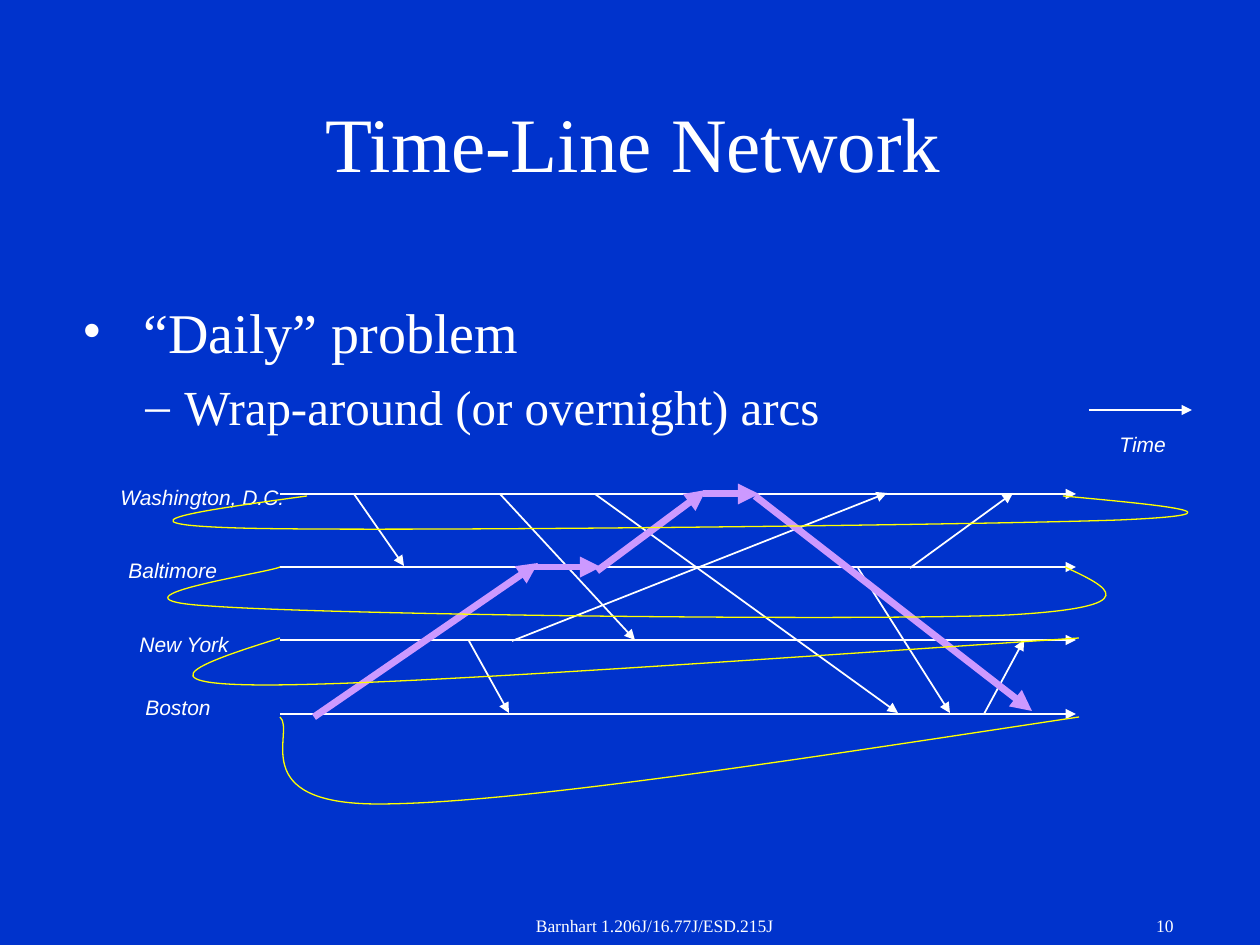
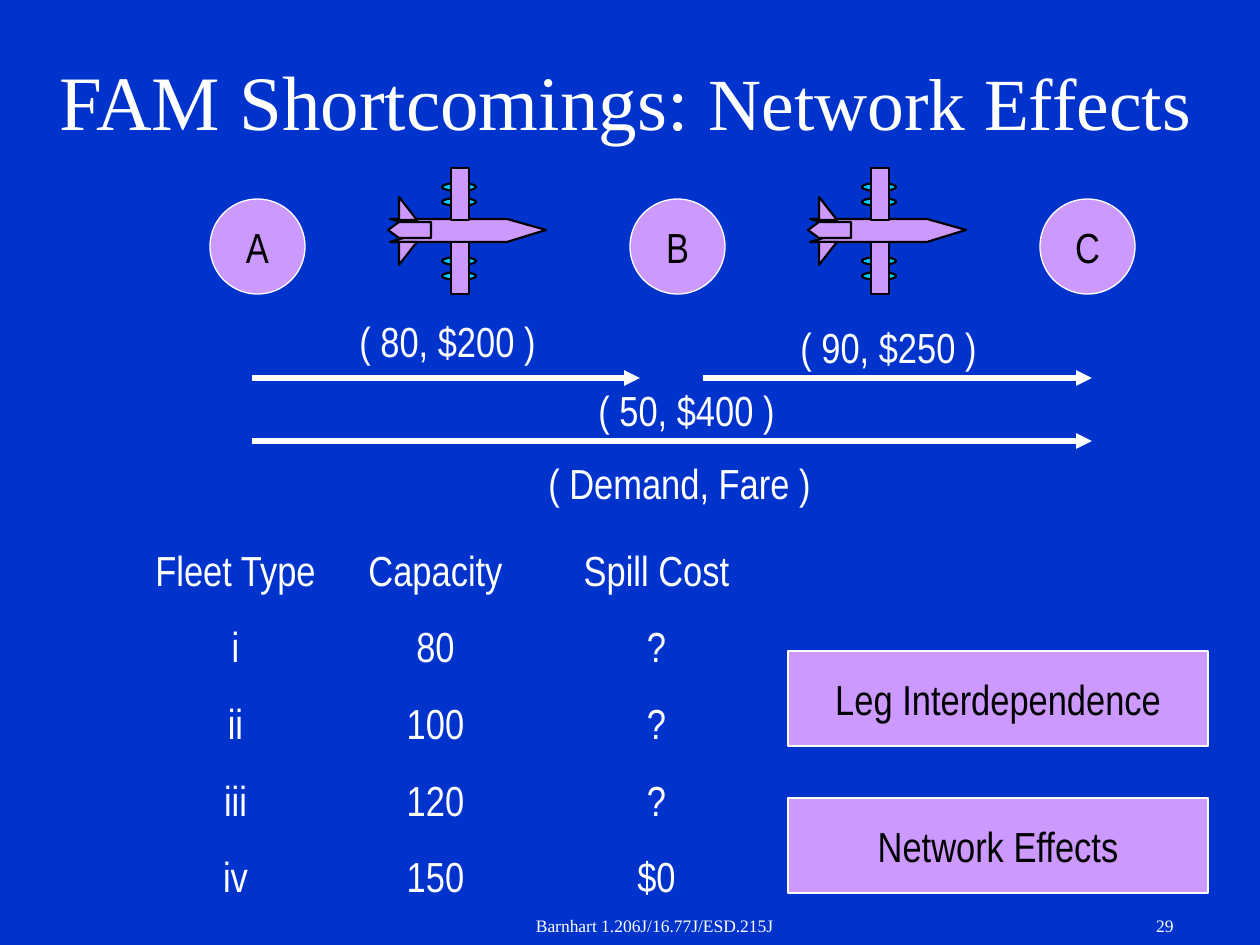
from dataclasses import dataclass

from lxml.etree import SubElement
from pptx import Presentation
from pptx.dml.color import RGBColor as Rgb
from pptx.enum.shapes import MSO_CONNECTOR as Connector, MSO_SHAPE as Preset
from pptx.enum.text import MSO_ANCHOR as Anchor, MSO_AUTO_SIZE as AutoSize, PP_ALIGN as Align
from pptx.oxml.ns import qn
from pptx.util import Pt

PX = 914400 / 126


@dataclass(frozen=True)
class Theme:
    ground: Rgb = Rgb(0x00, 0x33, 0xCC)
    white: Rgb = Rgb(0xFF, 0xFF, 0xFF)
    black: Rgb = Rgb(0x00, 0x00, 0x00)
    lilac: Rgb = Rgb(0xCC, 0x99, 0xFF)
    cyan: Rgb = Rgb(0x00, 0xCC, 0xFF)
    yellow: Rgb = Rgb(0xFF, 0xFF, 0x00)
    serif: str = "Times New Roman"
    sans: str = "Arial"
    narrow: str = "Arial Narrow"
    title: int = 44
    title_tail: int = 42
    bullet: int = 32
    sub_bullet: int = 28
    figure: int = 24
    label: int = 12
    footer: int = 10
    hairline: float = 0.75
    thin: float = 1
    outline: float = 1.25
    medium: float = 3
    thick: float = 4


THEME = Theme()


def emu(*lengths):
    return [round(length * PX) for length in lengths]


def style(paragraph, font, size, color=THEME.white, align=None, italic=None):
    paragraph.alignment = align
    paragraph.font.name = font
    paragraph.font.size = Pt(size)
    paragraph.font.color.rgb = color
    paragraph.font.italic = italic


def add_text(slide, box, lines, font, size, align=None, italic=None, gap=0, wrap=True):
    frame = slide.shapes.add_textbox(*emu(*box)).text_frame
    frame.word_wrap = wrap
    if not wrap:
        frame.auto_size = AutoSize.SHAPE_TO_FIT_TEXT
    frame.text = "\n".join(lines)
    for index, paragraph in enumerate(frame.paragraphs):
        style(paragraph, font, size, align=align, italic=italic)
        if index and gap:
            paragraph.space_before = Pt(gap)
    return frame


def add_label(slide, box, text):
    add_text(slide, box, [text], THEME.sans, THEME.label, italic=True, wrap=False)


def add_figure(slide, box, text):
    add_text(slide, box, [text], THEME.narrow, THEME.figure, wrap=False)


def add_title(slide, box, text):
    frame = add_text(slide, box, [text], THEME.serif, THEME.title, Align.CENTER)
    frame.vertical_anchor = Anchor.MIDDLE
    return frame.paragraphs[0]


def add_bullets(slide, box, items):
    frame = slide.shapes.add_textbox(*emu(*box)).text_frame
    frame.word_wrap = True
    frame.text = "\n".join(text for text, *_ in items)
    for level, (paragraph, item) in enumerate(zip(frame.paragraphs, items)):
        _, mark, size, margin, hang, gap = item
        paragraph.level = level
        if gap:
            paragraph.space_before = Pt(gap)
        properties = paragraph._p.get_or_add_pPr()
        margin, hang = emu(margin, hang)
        properties.set("marL", str(margin))
        properties.set("indent", str(-hang))
        SubElement(properties, qn("a:buFont")).set("typeface", THEME.serif)
        SubElement(properties, qn("a:buChar")).set("char", mark)
        style(paragraph, THEME.serif, size)


def add_arrow(slide, start, end, width=THEME.thin, color=THEME.white):
    arrow = slide.shapes.add_connector(Connector.STRAIGHT, *emu(*start, *end))
    arrow.line.color.rgb = color
    arrow.line.width = Pt(width)
    SubElement(arrow.line._get_or_add_ln(), qn("a:tailEnd")).set("type", "triangle")
    SubElement(arrow._element.spPr, qn("a:effectLst"))


def paint(shape, fill, line, width):
    shape.shadow.inherit = False
    if fill is None:
        shape.fill.background()
    else:
        shape.fill.solid()
        shape.fill.fore_color.rgb = fill
    shape.line.color.rgb = line
    shape.line.width = Pt(width)


def add_outline(shapes, points, fill, line, width, close=True):
    first, *rest = [emu(*point) for point in points]
    builder = shapes.build_freeform(*first)
    builder.add_line_segments(rest, close=close)
    outline = builder.convert_to_shape()
    paint(outline, fill, line, width)
    return outline


def add_overnight_arc(slide, points):
    arc = add_outline(slide.shapes, points, None, THEME.yellow, THEME.hairline, close=False)
    track = arc._element.find(".//" + qn("a:path"))
    steps = track.findall(qn("a:lnTo"))
    for index in range(0, len(steps), 3):
        curve = SubElement(track, qn("a:cubicBezTo"))
        for step in steps[index:index + 3]:
            curve.append(step[0])
            track.remove(step)


def add_node(slide, preset, box, text):
    node = slide.shapes.add_shape(preset, *emu(*box))
    paint(node, THEME.lilac, THEME.white, THEME.hairline)
    frame = node.text_frame
    frame.word_wrap = False
    frame.vertical_anchor = Anchor.MIDDLE
    frame.text = text
    style(frame.paragraphs[0], THEME.narrow, THEME.figure, THEME.black, Align.CENTER)


def add_plane(slide, left):
    parts = slide.shapes.add_group_shape().shapes

    def part(preset, x, y, width, height, fill=THEME.lilac):
        piece = parts.add_shape(preset, *emu(left + x, y, width, height))
        paint(piece, fill, THEME.black, THEME.outline)
        return piece

    def hull(points):
        shifted = [(left + x, y) for x, y in points]
        add_outline(parts, shifted, THEME.lilac, THEME.black, THEME.outline)

    for engine_top in (183, 198, 257, 272):
        part(Preset.OVAL, 54, engine_top, 34, 8, THEME.cyan)
    hull([(2, 219), (119, 219), (158, 230), (119, 242), (2, 242), (42, 230)])
    for wing_top in (168, 242):
        part(Preset.RECTANGLE, 63, wing_top, 18, 52)
    part(Preset.RIGHT_TRIANGLE, 11, 197, 18, 23)
    lower_fin = part(Preset.RIGHT_TRIANGLE, 11, 242, 18, 23)
    lower_fin._element.spPr.xfrm.set("flipV", "1")
    hull([(43, 222), (11, 222), (0, 230), (11, 238), (43, 238)])


def add_slide(deck):
    slide = deck.slides.add_slide(deck.slide_layouts[6])
    slide.background.fill.solid()
    slide.background.fill.fore_color.rgb = THEME.ground
    return slide


def add_footer(slide, number):
    add_text(slide, (455, 909, 399, 36), ["Barnhart 1.206J/16.77J/ESD.215J"],
             THEME.serif, THEME.footer, Align.CENTER)
    add_text(slide, (924, 909, 262, 36), [str(number)], THEME.serif, THEME.footer, Align.RIGHT)


def build_time_line(deck):
    slide = add_slide(deck)
    add_title(slide, (98, 63, 1071, 158), "Time-Line Network")
    add_bullets(slide, (70, 291, 1071, 567), [
        (" “Daily” problem", "•", THEME.bullet, 47, 47, 0),
        ("Wrap-around (or overnight) arcs", "–", THEME.sub_bullet, 102, 39, 7),
    ])

    for row in range(4):
        level = 494 + 220 * row // 3
        add_arrow(slide, (280, level), (1076, level))
    cities = [
        ("Washington, D.C.", 108, 478, 194),
        ("Baltimore", 116, 551, 120),
        ("New York", 127, 625, 122),
        ("Boston", 133, 688, 98),
    ]
    for city, left, top, width in cities:
        add_label(slide, (left, top, width, 38), city)

    flights = [
        ((354, 494), (404, 566)),
        ((500, 494), (635, 640)),
        ((595, 494), (898, 713)),
        ((910, 568), (1013, 493)),
        ((858, 568), (950, 713)),
        ((512, 641), (887, 493)),
        ((469, 641), (509, 713)),
        ((984, 714), (1024, 640)),
    ]
    for start, end in flights:
        add_arrow(slide, start, end)
    aircraft_route = [
        ((597, 571), (706, 490)),
        ((314, 717), (538, 563)),
        ((534, 567), (601, 567)),
        ((755, 496), (1032, 711)),
        ((703, 494), (759, 494)),
    ]
    for start, end in aircraft_route:
        add_arrow(slide, start, end, THEME.thick, THEME.lilac)
    add_arrow(slide, (1089, 410), (1192, 410))
    add_label(slide, (1107, 425, 80, 38), "Time")

    overnight_arcs = [
        [(1079, 717), (795, 760), (512, 804), (378, 804), (244, 804), (296, 731), (280, 717)],
        [(1079, 638), (738, 661), (399, 685), (266, 685), (134, 685), (207, 661), (280, 638)],
        [(1065, 567), (1108, 587), (1150, 607), (1008, 615), (866, 621),
         (331, 615), (210, 606), (88, 599), (268, 573), (280, 567)],
        [(1063, 496), (1160, 505), (1257, 514), (1120, 520), (983, 525),
         (373, 532), (238, 528), (102, 524), (205, 510), (307, 496)],
    ]
    for points in overnight_arcs:
        add_overnight_arc(slide, points)
    add_footer(slide, 10)


def build_shortcomings(deck):
    slide = add_slide(deck)
    title = add_title(slide, (42, 21, 1166, 158), "FAM Shortcomings: ")
    topic = title.add_run()
    topic.text = "Network Effects"
    topic.font.size = Pt(THEME.title_tail)

    for airport, left in (("A", 210), ("B", 630), ("C", 1040)):
        add_node(slide, Preset.OVAL, (left, 199, 95, 95), airport)
    for start, end, level in ((252, 1092, 441), (252, 640, 378), (703, 1092, 378)):
        add_arrow(slide, (start, level), (end, level), THEME.medium)
    itineraries = [
        ("( 50, $400 )", 586, 378, 202),
        ("( Demand, Fare )", 536, 451, 287),
        ("( 80, $200 )", 347, 309, 202),
        ("( 90, $250 )", 788, 315, 202),
    ]
    for text, left, top, width in itineraries:
        add_figure(slide, (left, top, width, 63), text)

    fleet_columns = [
        (557, ["Spill Cost", "?", "?", "?", "$0"]),
        (136, ["Fleet Type", "i", "ii", "iii", "iv"]),
        (336, ["Capacity", "80", "100", "120", "150"]),
    ]
    for left, entries in fleet_columns:
        add_text(slide, (left, 538, 199, 370), entries, THEME.narrow, THEME.figure,
                 Align.CENTER, gap=15)
    for text, top in (("Network Effects", 798), ("Leg Interdependence", 651)):
        add_node(slide, Preset.RECTANGLE, (788, top, 420, 95), text)
    for left in (388, 808):
        add_plane(slide, left)
    add_footer(slide, 29)


def main():
    deck = Presentation()
    deck.slide_width, deck.slide_height = emu(1260, 945)
    build_time_line(deck)
    build_shortcomings(deck)
    deck.save("out.pptx")


if __name__ == "__main__":
    main()
